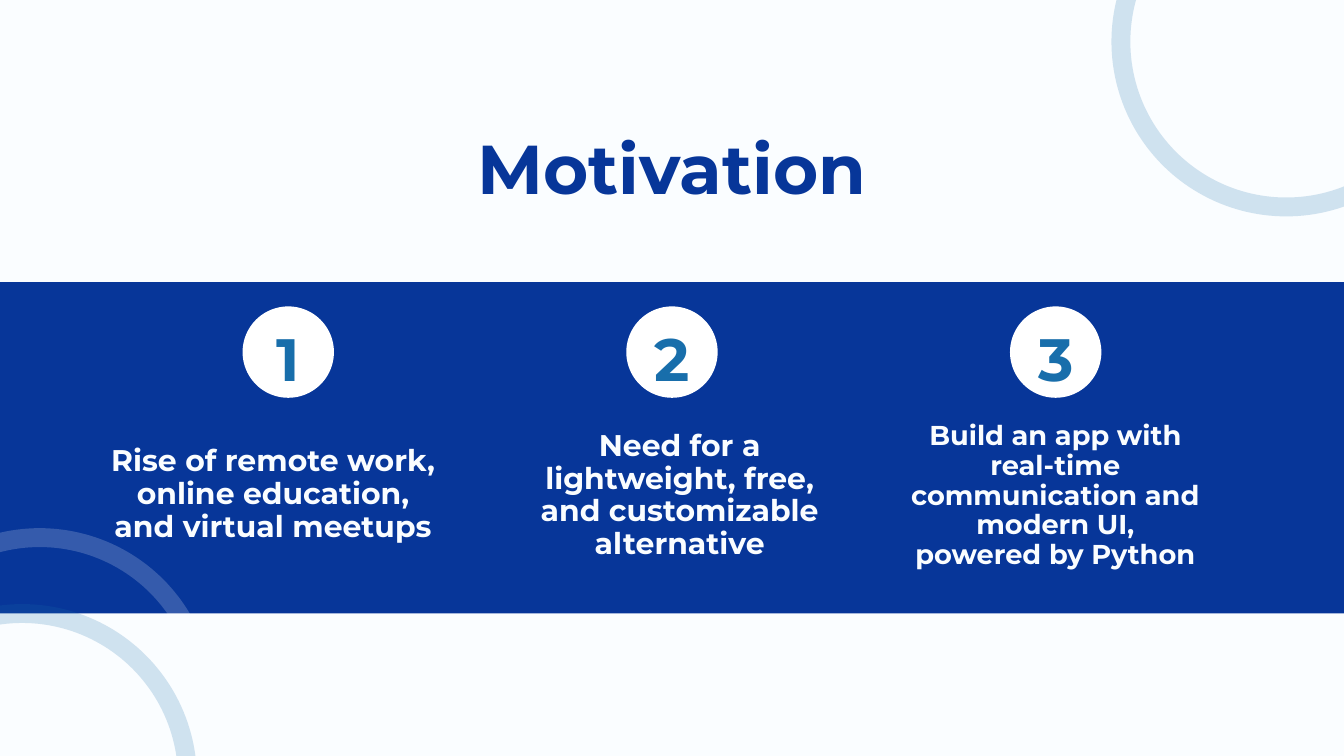
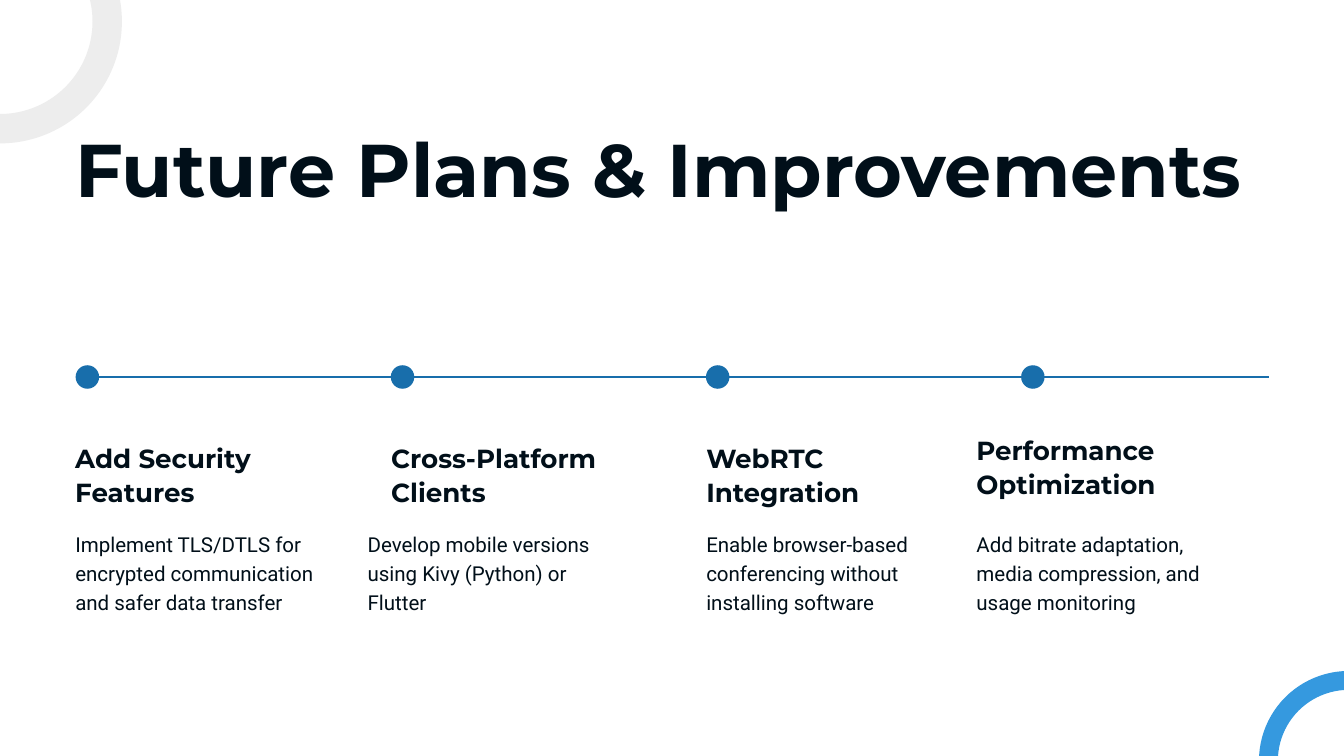
import pptx
import pptx.util
import pptx.dml.color
import pptx.enum.shapes
import pptx.enum.text
import pptx.oxml
import pptx.oxml.ns
from lxml import etree

Kind = pptx.enum.shapes.MSO_SHAPE
Align = pptx.enum.text.PP_ALIGN

COLS = 20
NAVY, BLUE, SKY = "073699", "186EAB", "3599DF"
INK, PALE, WHITE, GREY = "010F19", "FAFDFF", "FFFFFF", "EDEDED"
HEAD, BODY = "Montserrat", "Roboto"

STEPS = [
    # text, left, top, width, height, size, line pitch
    ("Rise of remote work, online education, and virtual meetups",
     1.56, 6.62, 5.01, 1.45, 32, 35.2),
    ("Need for a lightweight, free, and customizable alternative",
     7.98, 6.39, 4.27, 1.93, 32, 35.2),
    ("Build an app with real-time communication and modern UI, powered by Python",
     13.55, 6.26, 4.31, 2.2, 29.2, 32.1),
]

PLANS = [
    # heading, left, top, width, detail, left
    ("Add Security Features", 1.12, 6.54, 4.34,
     "Implement TLS/DTLS for encrypted communication and safer data transfer", 1.12),
    ("Cross-Platform Clients", 5.82, 6.54, 3.9,
     "Develop mobile versions using Kivy (Python) or Flutter", 5.47),
    ("WebRTC Integration", 10.51, 6.54, 3.68,
     "Enable browser-based conferencing without installing software", 10.51),
    ("Performance Optimization", 14.53, 6.43, 4.35,
     "Add bitrate adaptation, media compression, and usage monitoring", 14.53),
]


def rgb(code):
    return pptx.dml.color.RGBColor.from_string(code)


def write(frame, text, size=22, pitch=30.8, color=INK, font=BODY, bold=False,
          align=Align.LEFT):
    frame.margin_left = frame.margin_right = 0
    frame.margin_top = frame.margin_bottom = 0
    frame.word_wrap = True
    frame.auto_size = pptx.enum.text.MSO_AUTO_SIZE.NONE
    frame.vertical_anchor = pptx.enum.text.MSO_ANCHOR.TOP
    para = frame.paragraphs[0]
    para.alignment = align
    para.line_spacing = pptx.util.Pt(pitch)
    para.space_before = pptx.util.Pt(0)
    run = para.add_run()
    run.text = text
    run.font.name = font
    run.font.size = pptx.util.Pt(size)
    run.font.bold = bold
    run.font.color.rgb = rgb(color)


class Deck:
    """Draws on the current slide, on a grid of square cells, 20 to the width."""

    def __init__(self):
        self.show = pptx.Presentation()
        self.show.slide_width = pptx.util.Inches(20)
        self.show.slide_height = pptx.util.Inches(11.25)
        self.cell = self.show.slide_width / COLS
        self.slide = None

    def grid(self, *cells):
        return [round(n * self.cell) for n in cells]

    def page(self, back):
        self.slide = self.show.slides.add_slide(self.show.slide_layouts[5])
        fill = self.slide.background.fill
        fill.solid()
        fill.fore_color.rgb = rgb(back)

    def title(self, text, box, **style):
        shape = self.slide.shapes.title
        shape.left, shape.top, shape.width, shape.height = self.grid(*box)
        write(shape.text_frame, text, font=HEAD, bold=True, **style)

    def text(self, text, box, **style):
        shape = self.slide.shapes.add_textbox(*self.grid(*box))
        write(shape.text_frame, text, **style)

    def solid(self, kind, box, color):
        shape = self.slide.shapes.add_shape(kind, *self.grid(*box))
        shape.shadow.inherit = False
        shape.fill.solid()
        shape.fill.fore_color.rgb = rgb(color)
        shape.line.fill.background()

    def disc(self, x, y, size, color):
        """Filled circle around the point x, y."""
        self.solid(Kind.OVAL, (x - size / 2, y - size / 2, size, size), color)

    def ring(self, x, y, wide, color, high=None, width=20.25, alpha=100):
        """Outlined oval around the point x, y; alpha is its opacity in percent."""
        high = high or wide
        box = self.grid(x - wide / 2, y - high / 2, wide, high)
        shape = self.slide.shapes.add_shape(Kind.OVAL, *box)
        shape.shadow.inherit = False
        shape.fill.background()
        shape.line.width = pptx.util.Pt(width)
        shape.line.color.rgb = rgb(color)
        if alpha < 100:
            ns = pptx.oxml.ns.qn
            tone = shape.line._ln.find(".//" + ns("a:srgbClr"))
            etree.SubElement(tone, ns("a:alpha"), val=str(alpha * 1000))

    def line(self, start, end, color, width):
        kind = pptx.enum.shapes.MSO_CONNECTOR.STRAIGHT
        link = self.slide.shapes.add_connector(kind, *self.grid(*start, *end))
        link.line.color.rgb = rgb(color)
        link.line.width = pptx.util.Pt(width)
        etree.SubElement(link._element.spPr, pptx.oxml.ns.qn("a:effectLst"))


def motive(deck):
    deck.page(PALE)
    deck.ring(20, 0.62, 5.17, WHITE, high=4.4, alpha=18)
    deck.title("Motivation", (4.06, 1.87, 11.88, 1.23), size=74, pitch=88.8,
               color=NAVY, align=Align.CENTER)
    deck.solid(Kind.RECTANGLE, (0, 4.2, COLS, 4.93), NAVY)
    for num, (text, *box, size, pitch) in enumerate(STEPS, 1):
        mid = COLS / 2 + 5.71 * (num - 2)
        deck.text(text, box, size=size, pitch=pitch, color=PALE, font=HEAD,
                  bold=True, align=Align.CENTER)
        deck.disc(mid, 5.24, 1.36, WHITE)
        deck.text(str(num), (mid - 0.68, 4.46, 1.36, 1.31), size=64, pitch=100.5,
                  color=BLUE, font=HEAD, bold=True, align=Align.CENTER)
    for x, y, color in [(0.59, 10.46, WHITE), (0.33, 11.59, BLUE),
                        (19.14, 0.62, BLUE)]:
        deck.ring(x, y, 4.92, color, alpha=18)


def future(deck):
    deck.page(WHITE)
    deck.ring(0, 0.32, 3.19, GREY, width=31.5)
    deck.ring(20.07, 11.32, 2.39, SKY)
    deck.title("Future Plans & Improvements", (1.12, 1.83, 17.75, 1.33),
               size=80, pitch=96)
    axis = 5.61
    deck.line((1.3, axis), (18.88, axis), BLUE, 1.5)
    for num, (head, left, top, wide, text, start) in enumerate(PLANS):
        deck.disc(1.3 + 4.69 * num, axis, 0.35, BLUE)
        deck.text(head, (left, top, wide, 0.98), size=28, pitch=36.4,
                  font=HEAD, bold=True)
        deck.text(text, (start, 7.86, 3.68, 1.27))


def main():
    deck = Deck()
    motive(deck)
    future(deck)
    deck.show.save("out.pptx")


if __name__ == "__main__":
    main()
